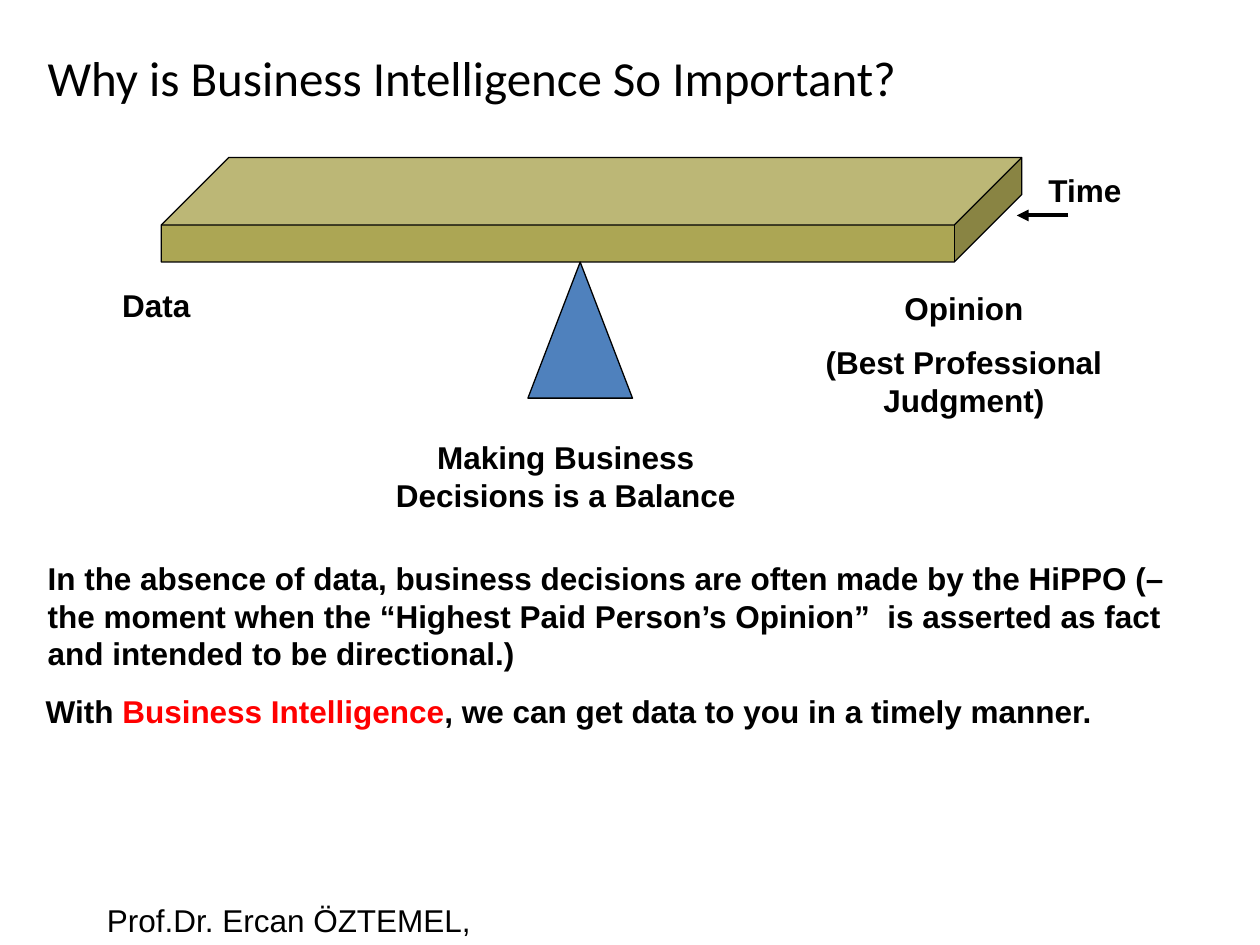
import pptx
import pptx.util
from pptx.dml.color import RGBColor
from pptx.enum.shapes import MSO_CONNECTOR, MSO_SHAPE
from pptx.enum.text import MSO_ANCHOR, PP_ALIGN
from pptx.oxml.ns import qn
from pptx.util import Inches
from lxml import etree

BLACK = RGBColor(0x00, 0x00, 0x00)
WHITE = RGBColor(0xFF, 0xFF, 0xFF)
RED = RGBColor(0xFF, 0x00, 0x00)
OLIVE = RGBColor(0xAC, 0xA6, 0x54)
BLUE = RGBColor(0x4F, 0x81, 0xBD)


class SlideBuilder:
    """Holds the text style and the current slide."""

    font = "Arial"
    size = 18

    def __init__(self, page):
        self.page = page

    def text(self, left, top, width, height, paragraphs, align=PP_ALIGN.CENTER,
             bold=True, wrap=True, font=None, size=None, fill=None):
        """Each paragraph is a list of (words, colour) runs."""
        box = self.page.shapes.add_textbox(
            Inches(left), Inches(top), Inches(width), Inches(height))
        if fill is not None:
            box.fill.solid()
            box.fill.fore_color.rgb = fill
        frame = box.text_frame
        frame.word_wrap = wrap
        frame.vertical_anchor = MSO_ANCHOR.MIDDLE
        for index, runs in enumerate(paragraphs):
            para = frame.add_paragraph() if index else frame.paragraphs[0]
            para.alignment = align
            if index:
                para.space_before = pptx.util.Pt(self.size / 2)
            for words, colour in runs:
                span = para.add_run()
                span.text = words
                span.font.name = font or self.font
                span.font.size = pptx.util.Pt(size or self.size)
                span.font.bold = bold
                span.font.color.rgb = colour

    def solid(self, kind, left, top, width, height, fill, adjustment):
        shape = self.page.shapes.add_shape(
            kind, Inches(left), Inches(top), Inches(width), Inches(height))
        shape.adjustments[0] = adjustment
        shape.shadow.inherit = False
        shape.fill.solid()
        shape.fill.fore_color.rgb = fill
        shape.line.color.rgb = BLACK
        shape.line.width = pptx.util.Pt(0.75)

    def arrow(self, start_x, start_y, end_x, end_y):
        line = self.page.shapes.add_connector(
            MSO_CONNECTOR.STRAIGHT, Inches(start_x), Inches(start_y),
            Inches(end_x), Inches(end_y))
        line.line.color.rgb = BLACK
        line.line.width = pptx.util.Pt(2.25)
        properties = line._element.spPr
        etree.SubElement(properties.find(qn("a:ln")), qn("a:tailEnd"), type="triangle")
        etree.SubElement(properties, qn("a:effectLst"))


def main():
    deck = pptx.Presentation()
    deck.slide_width = Inches(10)
    deck.slide_height = Inches(7.5)
    slide = SlideBuilder(deck.slides.add_slide(deck.slide_layouts[6]))

    # Footer and title
    slide.text(0.75, 7.1, 3.19, 0.4, [[("Prof.Dr. Ercan ÖZTEMEL,", BLACK)]],
               align=PP_ALIGN.LEFT, bold=False, wrap=False)
    slide.text(0.28, 0.3, 9, 0.62,
               [[("Why is Business Intelligence So Important?", BLACK)]],
               align=PP_ALIGN.LEFT, bold=False, font="Calibri", size=28, fill=WHITE)

    # Balance: beam on a pivot, pushed by time
    slide.solid(MSO_SHAPE.CUBE, 1.28, 1.25, 6.83, 0.83, OLIVE, 0.646)
    slide.solid(MSO_SHAPE.ISOSCELES_TRIANGLE, 4.19, 2.08, 0.83, 1.08, BLUE, 0.5)
    slide.arrow(8.48, 1.71, 8.07, 1.71)

    # Balance labels
    slide.text(7.65, 1.31, 1.92, 0.4, [[("Time", BLACK)]])
    slide.text(0.28, 2.22, 1.92, 0.4, [[("Data", BLACK)]])
    slide.text(6.19, 2.23, 2.92, 1.16,
               [[("Opinion", BLACK)], [("(Best Professional Judgment)", BLACK)]])
    slide.text(2.78, 3.42, 3.42, 0.71,
               [[("Making Business Decisions is a Balance", BLACK)]])

    # Conclusions
    slide.text(0.28, 4.38, 9.17, 1.01,
               [[("In the absence of data, business decisions are often made by "
                  "the HiPPO (– the moment when the “Highest Paid Person’s "
                  "Opinion”  is asserted as fact and intended to be "
                  "directional.)", BLACK)]], align=PP_ALIGN.LEFT)
    slide.text(-0.07, 5.44, 9.17, 0.4,
               [[("With ", BLACK), ("Business Intelligence", RED),
                 (", we can get data to you in a timely manner.", BLACK)]])

    deck.save("out.pptx")


if __name__ == "__main__":
    main()
